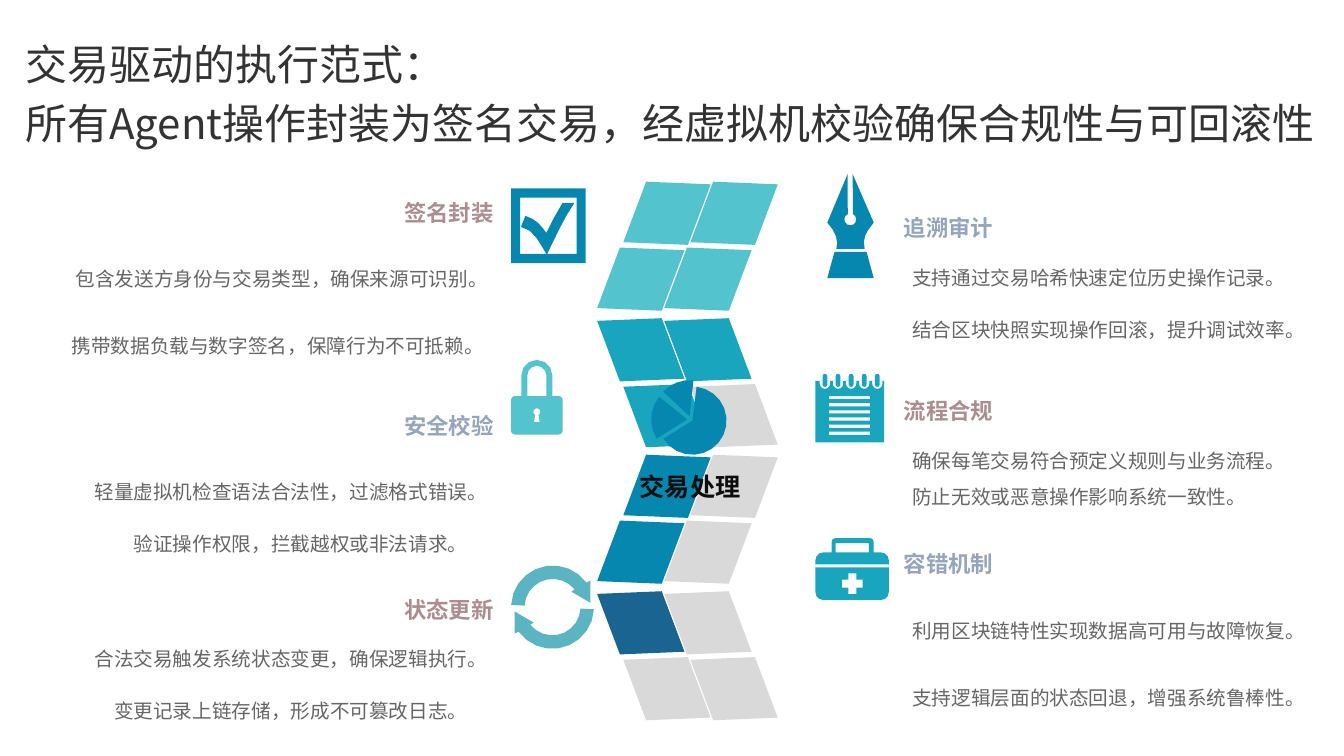
from dataclasses import dataclass
from math import cos, radians, sin

from lxml.etree import SubElement
from pptx import Presentation
from pptx.dml.color import RGBColor
from pptx.enum.shapes import MSO_SHAPE
from pptx.enum.text import MSO_ANCHOR, MSO_AUTO_SIZE, PP_ALIGN
from pptx.oxml.ns import qn
from pptx.util import Cm, Pt


@dataclass(frozen=True)
class Theme:
    font: str = "Noto Sans CJK SC"
    # name: (size, line spacing, bold, colour)
    title: tuple = (30, 42, False, "333333")
    center: tuple = (18, 18, True, "0D0D0D")
    rose: tuple = (16, 26, True, "AD8E8E")
    slate: tuple = (16, 26, True, "95A5BD")
    body: tuple = (14, 22, False, "666666")
    aqua: str = "53C3CD"
    teal: str = "19A5BE"
    blue: str = "0587AF"
    navy: str = "196491"
    sea: str = "5AB4C1"
    grey: str = "D9D9D9"


T = Theme()


# Text and fill helpers
def write(sp, box, lines, style, align=PP_ALIGN.LEFT):
    for name, value in zip(("left", "top", "width", "height"), box):
        setattr(sp, name, Cm(value))
    tf = sp.text_frame
    frame = {"margin_left": 0, "margin_top": 0, "margin_right": 0, "margin_bottom": 0,
             "word_wrap": True, "auto_size": MSO_AUTO_SIZE.NONE,
             "vertical_anchor": MSO_ANCHOR.MIDDLE}
    for name, value in frame.items():
        setattr(tf, name, value)
    size, spacing, bold, color = style
    for i, line in enumerate(lines):
        p = tf.add_paragraph() if i else tf.paragraphs[0]
        p.alignment, p.line_spacing = align, Pt(spacing)
        r = p.add_run()
        r.text = line
        for name, value in {"name": T.font, "size": Pt(size), "bold": bold}.items():
            setattr(r.font, name, value)
        r.font.color.rgb = RGBColor.from_string(color)
        SubElement(r.font._element, qn("a:ea")).set("typeface", T.font)


def add_text(s, box, text, style, align=PP_ALIGN.LEFT):
    write(s.shapes.add_textbox(0, 0, 0, 0), box, [text], style, align)


def paint(sp, color):
    sp.shadow.inherit = False
    sp.fill.solid()
    sp.fill.fore_color.rgb = RGBColor.from_string(color)
    sp.line.fill.background()


# Outline helpers: each returns a list of points in cm
def arc(cx, cy, r, start, end):
    pitch = 15 if r > .5 else 30 if r > .08 else 45  # degrees per segment
    steps = round(abs(end - start) / pitch)
    angles = [radians(start + (end - start) * i / steps) for i in range(steps + 1)]
    return [(cx + r * cos(a), cy + r * sin(a)) for a in angles]


def curve(a, b, c, d, steps=4):
    ts = [i / steps for i in range(steps + 1)]
    return [tuple((1 - t) ** 3 * a[k] + 3 * t * (1 - t) ** 2 * b[k]
                  + 3 * t * t * (1 - t) * c[k] + t ** 3 * d[k] for k in (0, 1)) for t in ts]


def rect(x, y, w, h, r=0):
    if not r:
        return [(x, y), (x + w, y), (x + w, y + h), (x, y + h)]
    corners = [(x + r, y + r, 180), (x + w - r, y + r, 270),
               (x + w - r, y + h - r, 0), (x + r, y + h - r, 90)]
    return [pt for cx, cy, a in corners for pt in arc(cx, cy, r, a, a + 90)]


def add_icon(s, x, y, contours, color):
    emu = [[(Cm(px), Cm(py)) for px, py in c] for c in contours]
    fb = s.shapes.build_freeform(*emu[0][0])
    for i, points in enumerate(emu):
        if i:
            fb.move_to(*points[0])
        fb.add_line_segments(points[1:], close=True)
    paint(fb.convert_to_shape(Cm(x), Cm(y)), color)


# Icons
def checkbox():
    tick = (curve((.89, 1.65), (.74, 1.42), (.58, 1.02), (.25, .97))
            + curve((.36, .69), (.66, .79), (.74, .92), (.89, 1.12))
            + [(1.08, .74), (1.3, .36)]
            + curve((1.6, .36), (1.35, .71), (1.12, 1.22), (.91, 1.65)))
    return [rect(0, 0, 1.88, 1.88), rect(.23, .23, 1.42, 1.42), tick]


def padlock():
    shackle = (arc(.65, .39, .39, 180, 360) + [(1.04, .91), (.89, .91)]
               + arc(.65, .39, .24, 360, 180) + [(.41, .91), (.26, .91)])
    keyhole = arc(.65, 1.31, .09, 120, 420) + [(.72, 1.57), (.58, 1.57)]
    return [rect(0, .91, 1.3, .97, .1), shackle, keyhole]


def cycle():
    arrow = (arc(1.05, 1.05, 1.05, 183, 324) + [(2, .38), (2, .94), (1.52, .66), (1.6, .61)]
             + arc(1.05, 1.05, .71, 321, 183))
    return [arrow, [(2.09 - x, 2.1 - y) for x, y in arrow]]


def pie():
    wedges = [(1.04, 1.02, .86, -83, 148), (.91, .99, .91, 148, 219), (.97, .91, .91, 223, 276)]
    return [[w[:2]] + arc(*w) for w in wedges]


def pen():
    nib = ([(.64, 0)] + arc(.58, 1.14, .15, -65, 245) + [(.51, 0)]
           + curve((0, 1.22), (.23, 1.47), (.28, 1.68), (.23, 1.88))
           + curve((.94, 1.88), (.89, 1.63), (.94, 1.5), (1.17, 1.22)))
    return [[(.18, 1.96), (.99, 1.96), (1.17, 2.62), (0, 2.62)], nib]


def notepad():
    contours = [rect(0, .18, 1.73, 1.55)]
    for cx in [.24 + .33 * i for i in range(5)]:
        contours.append(arc(cx, .25, .13, 0, 180) + [(cx - .13, .18), (cx + .13, .18)])
        contours.append(rect(cx - .06, 0, .12, .33, .06))
    return contours + [rect(.34, .56 + .18 * i, 1.04, .08) for i in range(6)]


def first_aid():
    handle = (arc(.51, .1, .1, 180, 270) + arc(1.37, .1, .1, 270, 360)
              + [(1.47, .36), (1.35, .36), (1.35, .13), (.51, .13), (.51, .36), (.41, .36)])
    a, b = .26, .1  # half length and half thickness of the cross
    cross = [(-b, -a), (b, -a), (b, -b), (a, -b), (a, b), (b, b),
             (b, a), (-b, a), (-b, b), (-a, b), (-a, -b), (-b, -b)]
    return [rect(0, .36, 1.85, 1.2, .2), rect(0, .66, 1.85, .08), handle,
            [(.93 + x, 1.15 + y) for x, y in cross]]


# Regions
def add_ribbon(s, x, y):
    """Zigzag of four folds, each of two rows of two tiles."""
    rows = [(T.aqua, T.aqua)] * 2 + [(T.teal, T.teal), (T.teal, T.grey)]
    rows += [(T.blue, T.grey)] * 2 + [(T.navy, T.grey), (T.grey, T.grey)]
    for i, row in enumerate(rows):
        fold, half = divmod(i, 2)
        left = x + (.66 if i % 4 in (0, 3) else 0)
        top = y + 3.44 * fold + 1.66 * half
        for j, color in enumerate(row):
            sp = s.shapes.add_shape(MSO_SHAPE.FLOWCHART_DECISION, Cm(left + 1.69 * j),
                                    Cm(top), Cm(2.64), Cm(1.91))
            sp.rotation = 33.5 if fold % 2 else 326.5
            paint(sp, color)


def add_section(s, head_x, y, body_x, gap, heading, style, items, align):
    add_text(s, (head_x, y, 3.15, 1.07), heading, style)
    top = y + gap
    for w, h, text in items:
        add_text(s, (body_x, top, w, h), text, T.body, align)
        top += h


def main():
    prs = Presentation()
    prs.slide_width, prs.slide_height = Cm(33.87), Cm(19.05)
    s = prs.slides.add_slide(prs.slide_layouts[5])

    add_ribbon(s, 14.83, 4.42)
    write(s.shapes.title, (.64, .76, 32.99, 2.97),
          ["交易驱动的执行范式：", "所有Agent操作封装为签名交易，经虚拟机校验确保合规性与可回滚性"], T.title)

    # Left and right columns
    tall, short, w = 1.7, .91, 9.78
    left = [
        (4.7, 1.42, 1.37, "签名封装", T.rose, [(10.39, tall, "包含发送方身份与交易类型，确保来源可识别。"),
                                           (10.29, tall, "携带数据负载与数字签名，保障行为不可抵赖。")]),
        (10.08, 2.01, 1.38, "安全校验", T.slate, [(w, tall, "轻量虚拟机检查语法合法性，过滤格式错误。"),
                                              (w, short, "验证操作权限，拦截越权或非法请求。")]),
        (14.71, 2.01, .94, "状态更新", T.rose, [(w, tall, "合法交易触发系统状态变更，确保逻辑执行。"),
                                            (w, short, "变更记录上链存储，形成不可篡改日志。")]),
    ]
    right = [
        (5.08, 22.99, 1.37, "追溯审计", T.slate, [(w, short, "支持通过交易哈希快速定位历史操作记录。"),
                                              (w, tall, "结合区块快照实现操作回滚，提升调试效率。")]),
        (9.7, 22.99, 1.37, "流程合规", T.rose, [(w, short, "确保每笔交易符合预定义规则与业务流程。"),
                                            (w, short, "防止无效或恶意操作影响系统一致性。")]),
        (13.54, 22.99, 1.4, "容错机制", T.slate, [(w, tall, "利用区块链特性实现数据高可用与故障恢复。"),
                                              (w, tall, "支持逻辑层面的状态回退，增强系统鲁棒性。")]),
    ]
    for head_x, align, column in ((10.19, PP_ALIGN.RIGHT, left), (22.78, PP_ALIGN.LEFT, right)):
        for section in column:
            add_section(s, head_x, *section, align)

    # Icons and the centre label
    for x, y, icon, color in ((12.88, 4.75, checkbox, T.blue), (12.88, 9.07, padlock, T.aqua),
                              (12.88, 14.25, cycle, T.sea), (20.85, 4.39, pen, T.blue),
                              (20.55, 9.42, notepad, T.teal), (20.55, 13.56, first_aid, T.teal),
                              (16.41, 9.58, pie, T.blue)):
        add_icon(s, x, y, icon(), color)
    add_text(s, (15.93, 11.81, 2.92, 1.02), "交易处理", T.center, PP_ALIGN.CENTER)

    prs.save("out.pptx")


if __name__ == "__main__":
    main()
